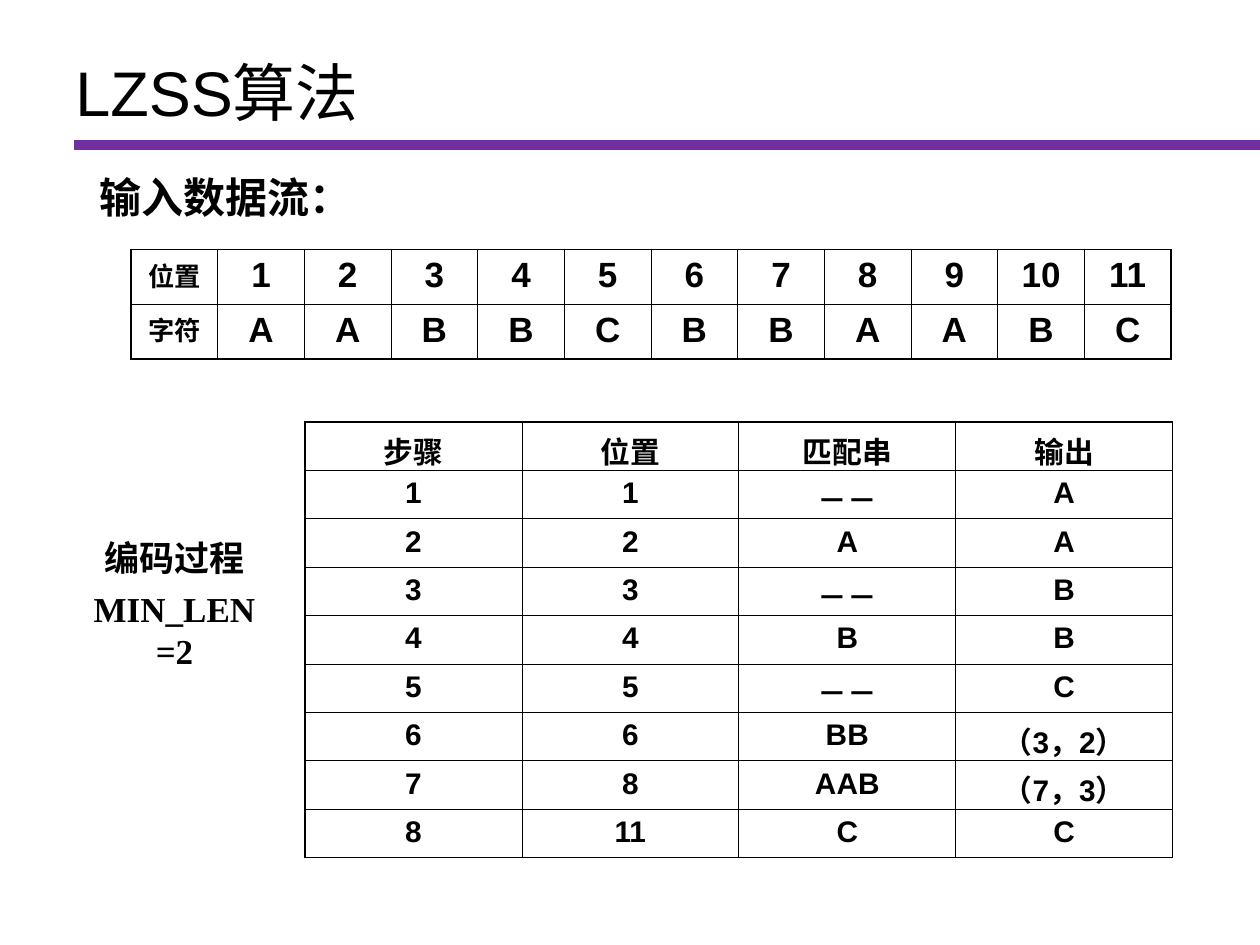
from lxml.etree import SubElement
from pptx import Presentation
from pptx.dml.color import RGBColor
from pptx.enum.shapes import MSO_CONNECTOR as CONN
from pptx.enum.text import MSO_ANCHOR as ANCHOR, PP_ALIGN as ALIGN
from pptx.oxml.ns import qn
from pptx.util import Inches, Pt

rgb = RGBColor.from_string
BLACK, PURPLE = "000000", "7030A0"
THIN, THICK = Pt(0.45), Pt(1.08)

prs = Presentation()
prs.slide_width, prs.slide_height = Inches(10), Inches(7.5)
# Grid of 100 columns by 75 rows
COL, ROW = prs.slide_width // 100, prs.slide_height // 75
s = prs.slides.add_slide(prs.slide_layouts[6])


def write(tf, lines, align=ALIGN.CENTER, gap=0, **font):
    for i, line in enumerate(lines):
        p = tf.paragraphs[0] if i == 0 else tf.add_paragraph()
        p.alignment = align
        if i:
            p.space_before = Pt(gap)
        r = p.add_run()
        r.text = line
        for name, value in font.items():
            setattr(r.font, name, value)
        r.font.color.rgb = rgb(BLACK)


def add_grid(rows, left, top, col_width, row_height, head_size, body_size, is_head):
    n_rows, n_cols = len(rows), len(rows[0])
    box = [round(v) for v in (left * COL, top * ROW, n_cols * col_width * COL, n_rows * row_height * ROW)]
    table = s.shapes.add_table(n_rows, n_cols, *box).table
    table.first_row = table.horz_banding = False
    for i, row in enumerate(rows):
        for j, text in enumerate(row):
            cell = table.cell(i, j)
            size = head_size if is_head(i, j) else body_size
            write(cell.text_frame, [text], name="Arial", size=Pt(size), bold=True)
            # Thick lines around the table, thin ones inside
            outer = {"a:lnL": j == 0, "a:lnR": j == n_cols - 1, "a:lnT": i == 0, "a:lnB": i == n_rows - 1}
            tc_pr = cell._tc.get_or_add_tcPr()
            for tag, thick in outer.items():
                ln = SubElement(tc_pr, qn(tag), w=str(THICK if thick else THIN))
                SubElement(SubElement(ln, qn("a:solidFill")), qn("a:srgbClr"), val=BLACK)
            cell.fill.background()


# Rule under the title
rule = s.shapes.add_connector(CONN.STRAIGHT, round(5.9 * COL), round(11.5 * ROW), 100 * COL, round(11.5 * ROW))
rule.line.color.rgb = rgb(PURPLE)
rule.line.width = Pt(6)
SubElement(rule._element.spPr, qn("a:effectLst"))

# Title and labels: left, top, width, height, wrap, anchor, lines, format
texts = [
    (5, 3, 90, 8.5, True, ANCHOR.MIDDLE, ["LZSS算法"],
     dict(align=ALIGN.LEFT, name="Arial", size=Pt(36))),
    (6.9, 13.1, 22, 5, False, ANCHOR.TOP, ["输入数据流："],
     dict(name="Lato", size=Pt(24), bold=True)),
    (5.1, 42.1, 17.5, 11.7, True, ANCHOR.TOP, ["编码过程", "MIN_LEN =2"],
     dict(gap=5, name="Times New Roman", size=Pt(20), bold=True)),
]
for left, top, width, height, wrap, anchor, lines, style in texts:
    box = [round(v) for v in (left * COL, top * ROW, width * COL, height * ROW)]
    tf = s.shapes.add_textbox(*box).text_frame
    tf.word_wrap, tf.vertical_anchor = wrap, anchor
    write(tf, lines, **style)

# Input stream: positions above characters
stream = "AABBCBBAABC"
positions = [str(n + 1) for n in range(len(stream))]
add_grid([["位置", *positions], ["字符", *stream]], 10.4, 19.8, 6.88, 4.33, 15, 20,
         lambda i, j: j == 0)

# Encoding steps
steps = [
    ("步骤", "位置", "匹配串", "输出"),
    ("1", "1", "－－", "A"),
    ("2", "2", "A", "A"),
    ("3", "3", "－－", "B"),
    ("4", "4", "B", "B"),
    ("5", "5", "－－", "C"),
    ("6", "6", "BB", "（3，2）"),
    ("7", "8", "AAB", "（7，3）"),
    ("8", "11", "C", "C"),
]
add_grid(steps, 24.2, 33.5, 17.22, 3.83, 17, 17, lambda i, j: i == 0)

prs.save("out.pptx")
